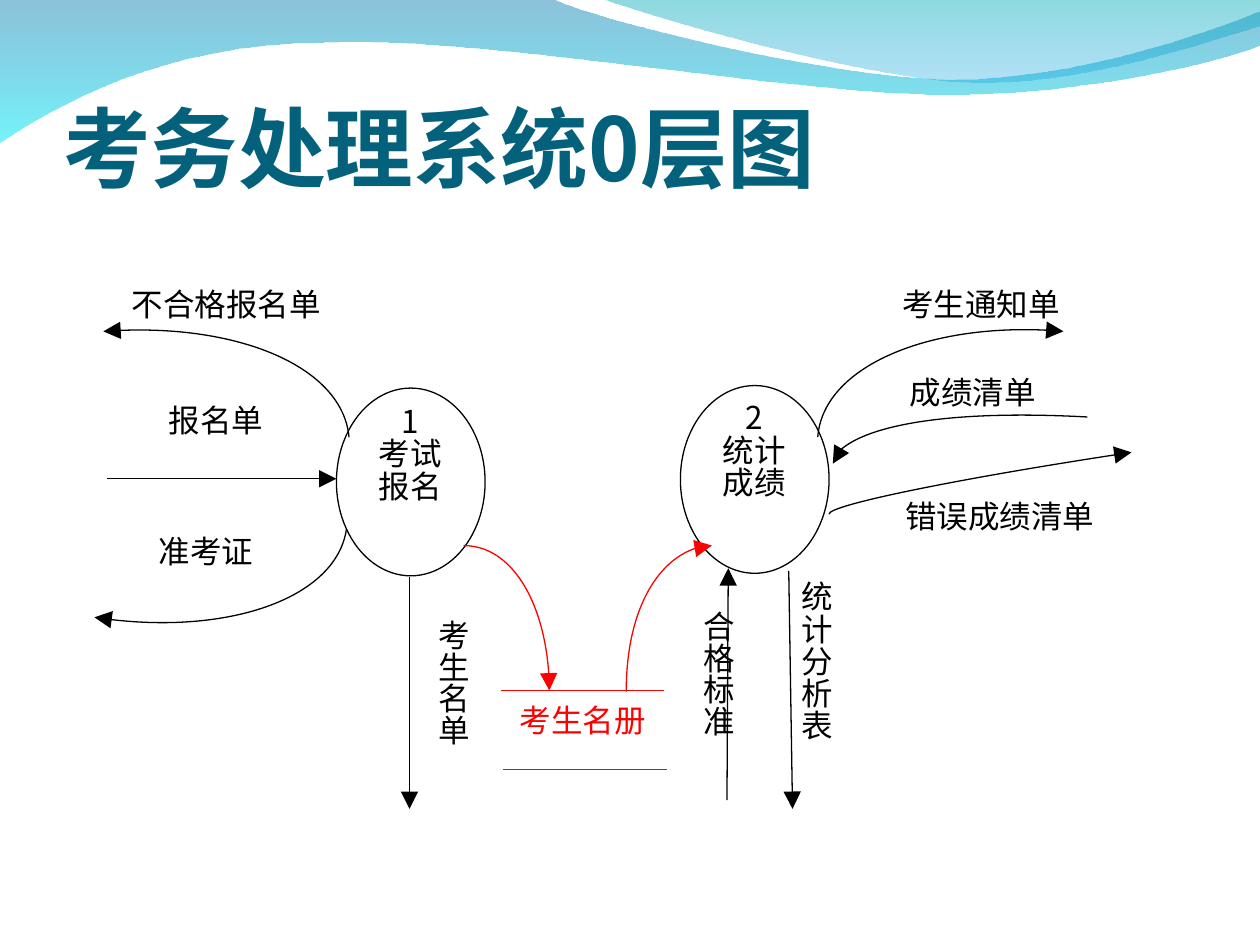
"""Build the level-0 data flow diagram slide of the examination system."""
from lxml.etree import SubElement
from pptx import Presentation
from pptx.dml.color import RGBColor
from pptx.enum.shapes import MSO_CONNECTOR, MSO_SHAPE
from pptx.enum.text import MSO_ANCHOR, MSO_AUTO_SIZE, PP_ALIGN
from pptx.oxml.ns import qn
from pptx.util import Inches, Pt

COLORS = {
    "title": "04617B", "flow": "000000", "store": "FF0000",
    "blue": "0079AF", "cyan": "00EBF8", "teal": "00ADB6", "sky": "009BE5",
}
FONT = "Noto Sans CJK SC"


def write_text(frame, lines, frame_format, paragraph_format, font_format, color):
    for name, value in frame_format.items():
        setattr(frame, name, value)
    for index, line in enumerate(lines):
        paragraph = frame.paragraphs[0] if index == 0 else frame.add_paragraph()
        for name, value in paragraph_format.items():
            setattr(paragraph, name, value)
        run = paragraph.add_run()
        run.text = line
        for name, value in font_format.items():
            setattr(run.font, name, value)
        run.font.color.rgb = RGBColor.from_string(COLORS[color])
        SubElement(run.font._element, qn("a:ea"), typeface=FONT)


def add_curve(shapes, points, close=False):
    (start_x, start_y), *rest = [(Inches(x), Inches(y)) for x, y in points]
    builder = shapes.build_freeform(start_x, start_y)
    builder.add_line_segments(rest, close=close)
    shape = builder.convert_to_shape()
    shape.shadow.inherit = False
    segments = list(shape._element.iter(qn("a:lnTo")))
    for first in range(0, len(segments), 3):
        curve = segments[first].getparent().makeelement(qn("a:cubicBezTo"))
        segments[first].addprevious(curve)
        for segment in segments[first:first + 3]:
            curve.append(segment[0])
            segment.getparent().remove(segment)
    return shape


presentation = Presentation()
presentation.slide_width = Inches(10)
presentation.slide_height = Inches(7.5)
slide = presentation.slides.add_slide(presentation.slide_layouts[5])
shapes = slide.shapes

waves = [
    ([(0, 0), (0, 0), (4.4, 0), (4.4, 0), (4.76, 0.17), (6.64, 0.63), (7.58, 0.63),
      (8.53, 0.63), (9.58, 0.26), (10, 0.09), (10, 0.09), (10, 0.36), (10, 0.36),
      (9.83, 0.44), (8.7, 0.76), (7.46, 0.75), (6.22, 0.75), (3.82, 0.28), (2.57, 0.34),
      (1.29, 0.35), (0.46, 0.83), (0, 1.13)], [("blue", 45), ("cyan", 55)]),
    ([(4.79, 0), (5.09, 0.11), (6.82, 0.62), (7.69, 0.65), (8.56, 0.69), (9.61, 0.32),
      (10, 0.21), (10, 0.21), (10, 0), (10, 0)], [("teal", 45), ("sky", 30)]),
]
for points, stops in waves:
    wave = add_curve(shapes, points, close=True)
    wave.line.fill.background()
    wave.fill.gradient()
    wave.fill.gradient_angle = 270
    for stop, (color, _) in zip(wave.fill.gradient_stops, stops):
        stop.color.rgb = RGBColor.from_string(COLORS[color])
    for element, (_, opacity) in zip(wave._element.spPr.iter(qn("a:srgbClr")), stops):
        SubElement(element, qn("a:alpha"), val=str(opacity * 1000))

title = shapes.title
title_place = {"left": 0.5, "top": 0.33, "width": 9, "height": 1.25}
for name, value in title_place.items():
    setattr(title, name, Inches(value))
title_frame = {
    "word_wrap": True, "auto_size": MSO_AUTO_SIZE.NONE, "vertical_anchor": MSO_ANCHOR.BOTTOM,
    "margin_left": 0, "margin_top": Inches(0.05), "margin_right": 0, "margin_bottom": 0,
}
write_text(title.text_frame, ["考务处理系统0层图"], title_frame, {"alignment": PP_ALIGN.LEFT},
           {"name": FONT, "size": Pt(50), "bold": True}, "title")
shapes._spTree.append(title._element)

drawn = []
for left, top in [(2.67, 3.08), (5.4, 3.06)]:
    process = shapes.add_shape(MSO_SHAPE.OVAL, Inches(left), Inches(top), Inches(1.18), Inches(1.49))
    process.shadow.inherit = False
    process.fill.background()
    drawn.append((process, "flow", None))

curves = [
    ([(2.77, 3.47), (2.72, 2.92), (1.85, 2.55), (0.82, 2.63)], "flow", "tailEnd"),
    ([(2.75, 4.2), (2.67, 4.74), (1.77, 5.06), (0.75, 4.9)], "flow", "tailEnd"),
    ([(6.49, 3.47), (6.53, 2.92), (7.41, 2.54), (8.44, 2.63)], "flow", "tailEnd"),
    ([(6.58, 4.08), (6.57, 4.01), (7.65, 3.79), (8.98, 3.59)], "flow", "tailEnd"),
    ([(6.61, 3.68), (6.62, 3.42), (7.53, 3.25), (8.63, 3.31)], "flow", "headEnd"),
    ([(3.68, 4.33), (4.06, 4.33), (4.36, 4.84), (4.36, 5.48)], "store", "tailEnd"),
    ([(5.65, 4.33), (5.28, 4.33), (4.97, 4.85), (4.97, 5.49)], "store", "headEnd"),
]
for points, color, arrow in curves:
    curve = add_curve(shapes, points)
    curve.fill.background()
    drawn.append((curve, color, arrow))

straight_lines = [
    ((0.85, 3.8, 2.67, 3.8), "flow", "tailEnd"),
    ((3.25, 4.58, 3.25, 6.42), "flow", "tailEnd"),
    ((6.26, 4.53, 6.29, 6.42), "flow", "tailEnd"),
    ((5.78, 4.51, 5.77, 6.35), "flow", "headEnd"),
    ((3.98, 5.48, 5.27, 5.48), "store", None),
    ((3.99, 6.11, 5.29, 6.11), "store", None),
]
for ends, color, arrow in straight_lines:
    connector = shapes.add_connector(MSO_CONNECTOR.STRAIGHT, *[Inches(value) for value in ends])
    connector.line.width = Pt(0.75)
    SubElement(connector._element.spPr, qn("a:effectLst"))
    drawn.append((connector, color, arrow))

for shape, color, arrow in drawn:
    shape.line.color.rgb = RGBColor.from_string(COLORS[color])
    shape.line.width = Pt(0.75)
    if arrow:
        SubElement(shape.line._get_or_add_ln(), qn(f"a:{arrow}"), type="triangle", w="lg", len="lg")

labels = [
    (["1", "考试", "报名"], (2.58, 3.19, 1.35, 1.37), "flow", 0.85, False),
    (["2", "统计", "成绩"], (5.31, 3.16, 1.35, 1.37), "flow", 0.85, False),
    (["报名单"], (1.06, 3.17, 1.31, 0.82), "flow", 0.9, False),
    (["不合格报名单"], (0.67, 2.25, 2.25, 0.81), "flow", 0.9, False),
    (["准考证"], (0.98, 4.21, 1.31, 0.82), "flow", 0.9, False),
    (["考生通知单"], (6.94, 2.25, 1.69, 0.82), "flow", 0.9, False),
    (["成绩清单"], (6.94, 3.01, 1.56, 0.21), "flow", 0.64, False),
    (["错误成绩清单"], (6.94, 3.99, 1.99, 0.37), "flow", 0.64, False),
    (["统计分析表"], (6.25, 4.58, 0.48, 0.79), "flow", 0.85, False),
    (["考生名册"], (3.96, 5.55, 1.33, 0.79), "store", 0.9, False),
    (["考生名单"], (2.91, 4.82, 0.84, 1.77), "flow", 0.85, True),
    (["合格标准"], (5.01, 4.75, 0.84, 1.77), "flow", 0.85, True),
]
for lines, place, color, spacing, vertical in labels:
    label = shapes.add_textbox(*[Inches(value) for value in place])
    side, end = (0.05, 0.1) if vertical else (0.1, 0.05)
    label_frame = {
        "word_wrap": True, "vertical_anchor": MSO_ANCHOR.TOP,
        "margin_left": Inches(side), "margin_right": Inches(side),
        "margin_top": Inches(end), "margin_bottom": Inches(end),
    }
    alignment = PP_ALIGN.JUSTIFY if vertical else PP_ALIGN.CENTER
    write_text(label.text_frame, lines, label_frame,
               {"alignment": alignment, "line_spacing": spacing},
               {"name": FONT, "size": Pt(18)}, color)
    if vertical:
        label.text_frame._txBody.bodyPr.set("vert", "eaVert")

presentation.save("out.pptx")
